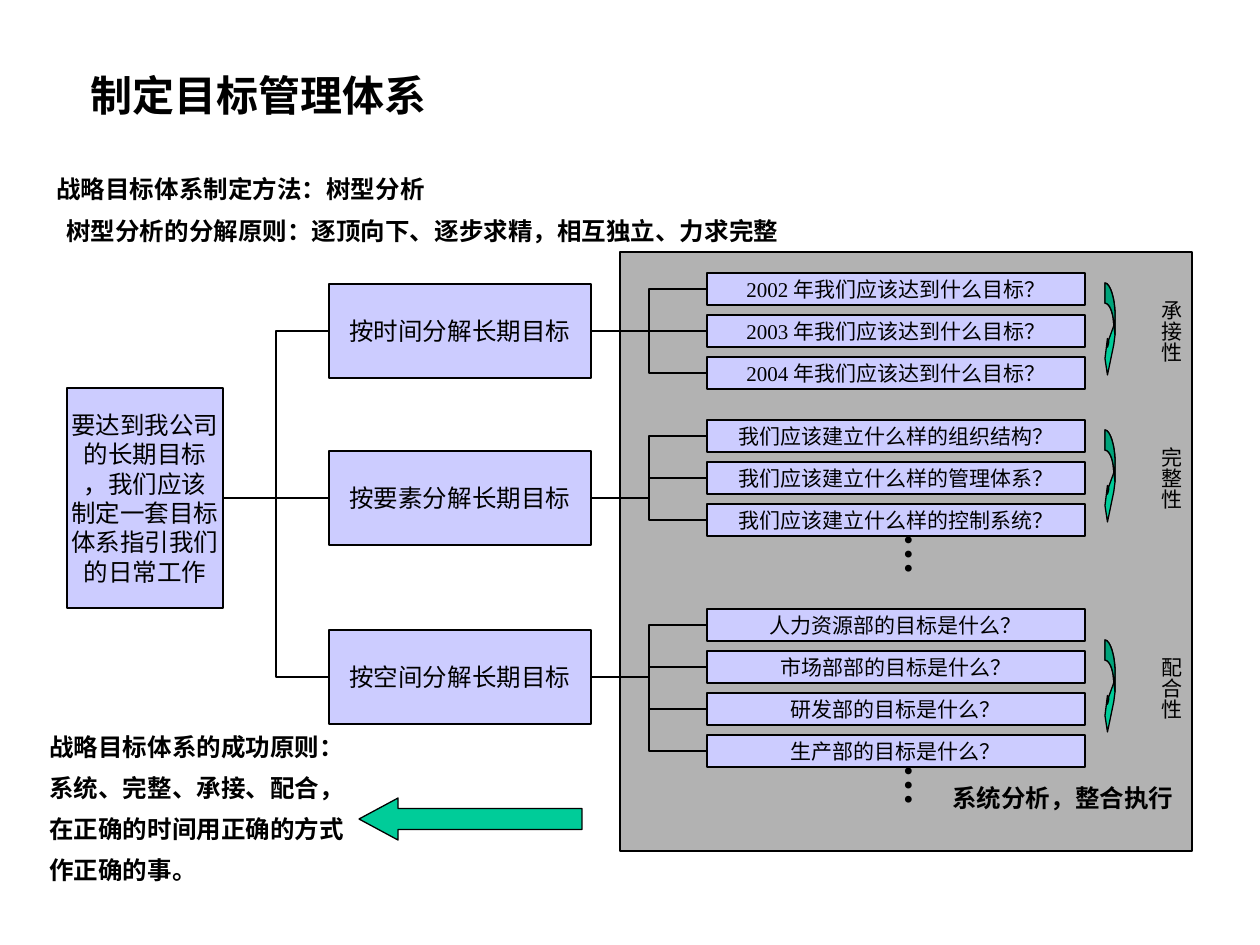
from typing import NamedTuple

from lxml.etree import SubElement
from pptx import Presentation
from pptx.dml.color import RGBColor
from pptx.enum.shapes import MSO_CONNECTOR, MSO_SHAPE
from pptx.enum.text import MSO_ANCHOR, MSO_AUTO_SIZE, PP_ALIGN
from pptx.oxml.ns import qn
from pptx.util import Pt

EMU_PER_PX = 914400 / 126
FONT = "Times New Roman"
COLORS = {
    "ink": "000000",
    "panel": "B2B2B2",
    "node": "CCCCFF",
    "arrow": "00CC99",
}
LEFT_SITE, RIGHT_SITE = 1, 3
ROW_PITCH = 42
# Curved arrow outlines, in hundredths of an inch
ARROW_WIDTH, ARROW_HEIGHT = 8, 75
ARROW_BODY = [
    [(0, 0)], [(4, 0), (8, 12), (8, 26)], [(8, 41)],
    [(8, 44), (7, 46), (7, 49)], [(2, 73)], [(0, 60)], [(2, 44)], [(2, 51)],
    [(3, 49), (3, 47), (3, 45)], [(7, 34)], [(7, 25), (4, 16), (0, 16)],
]
ARROW_SHADE = [
    [(0, 0)], [(4, 0), (8, 12), (8, 26)], [(8, 41)], [(7, 34)],
    [(7, 25), (4, 16), (0, 16)],
]


class Frame(NamedTuple):
    left: int
    top: int
    width: int
    height: int


class Branch(NamedTuple):
    title: str
    top: int
    first_row: int
    questions: list[str]
    quality: str


class Label(NamedTuple):
    frame: Frame
    lines: list[str]
    size: int = 14
    bold: bool = True
    vertical: bool = False
    wrap: bool = False
    spacing: float = 1.0


ROOT_LINES = ["要达到我公司", "的长期目标", "，我们应该", "制定一套目标", "体系指引我们", "的日常工作"]
BRANCHES = [
    Branch("按时间分解长期目标", 284, 273,
           [f"{year} 年我们应该达到什么目标？" for year in (2002, 2003, 2004)], "承接性"),
    Branch("按要素分解长期目标", 451, 420,
           [f"我们应该建立什么样的{topic}？" for topic in ("组织结构", "管理体系", "控制系统")],
           "完整性"),
    Branch("按空间分解长期目标", 630, 609,
           [f"{team}的目标是什么？" for team in ("人力资源部", "市场部部", "研发部", "生产部")],
           "配合性"),
]
LABELS = [
    Label(Frame(78, 63, 366, 63), ["制定目标管理体系"], size=24),
    Label(Frame(44, 168, 399, 43), ["战略目标体系制定方法：树型分析"]),
    Label(Frame(54, 210, 743, 43),
          ["树型分析的分解原则：逐顶向下、逐步求精，相互独立、力求完整"]),
    Label(Frame(940, 777, 249, 43), ["系统分析，整合执行"]),
    Label(Frame(37, 714, 322, 219),
          ["战略目标体系的成功原则：", "系统、完整、承接、配合，",
           "在正确的时间用正确的方式", "作正确的事。"], spacing=1.4),
    Label(Frame(878, 521, 76, 53), ["…"], size=24, vertical=True, wrap=True),
    Label(Frame(878, 752, 76, 53), ["…"], size=24, vertical=True, wrap=True),
]


def px(value: float) -> int:
    return round(value * EMU_PER_PX)


def emu(frame: Frame) -> list[int]:
    return [px(value) for value in frame]


def color(name: str) -> RGBColor:
    return RGBColor.from_string(COLORS[name])


def style(shape, fill: str) -> None:
    shape.shadow.inherit = False
    shape.fill.solid()
    shape.fill.fore_color.rgb = color(fill)
    shape.line.color.rgb = color("ink")
    shape.line.width = Pt(0.75)


def write(text_frame, lines: list[str], size: int, bold: bool = False,
          align: PP_ALIGN = PP_ALIGN.LEFT, spacing: float = 1.0) -> None:
    for index, line in enumerate(lines):
        para = text_frame.add_paragraph() if index else text_frame.paragraphs[0]
        para.alignment = align
        para.line_spacing = spacing
        span = para.add_run()
        span.text = line
        span.font.name = FONT
        span.font.size = Pt(size)
        span.font.bold = bold
        span.font.color.rgb = color("ink")


def add_box(page, frame: Frame, fill: str, lines: list[str], size: int = 14):
    box = page.shapes.add_shape(MSO_SHAPE.RECTANGLE, *emu(frame))
    style(box, fill)
    if lines:
        box.text_frame.word_wrap = False
        box.text_frame.vertical_anchor = MSO_ANCHOR.MIDDLE
        write(box.text_frame, lines, size, align=PP_ALIGN.CENTER)
    return box


def add_label(page, label: Label) -> None:
    text_frame = page.shapes.add_textbox(*emu(label.frame)).text_frame
    text_frame.word_wrap = label.wrap
    text_frame.auto_size = MSO_AUTO_SIZE.SHAPE_TO_FIT_TEXT
    if label.vertical:
        text_frame._txBody.bodyPr.set("vert", "eaVert")
        text_frame.margin_left = text_frame.margin_right = Pt(3.6)
        text_frame.margin_top = text_frame.margin_bottom = Pt(7.2)
    write(text_frame, label.lines, label.size, label.bold, spacing=label.spacing)


def link(page, child, parent) -> None:
    level = child.top + child.height // 2 == parent.top + parent.height // 2
    kind = MSO_CONNECTOR.STRAIGHT if level else MSO_CONNECTOR.ELBOW
    line = page.shapes.add_connector(kind, 0, 0, 0, 0)
    line.begin_connect(child, LEFT_SITE)
    line.end_connect(parent, RIGHT_SITE)
    line.line.color.rgb = color("ink")
    line.line.width = Pt(0.75)
    SubElement(line._element.spPr, qn("a:effectLst"))


def add_curved_arrow(page, left: int, top: int) -> None:
    """Draw a curved arrow with a darker upper face."""
    builder = page.shapes.build_freeform(0, 0, scale=9144)
    builder.add_line_segments([(ARROW_WIDTH, 0), (ARROW_WIDTH, ARROW_HEIGHT), (0, ARROW_HEIGHT)])
    arrow = builder.convert_to_shape(px(left), px(top))
    style(arrow, "arrow")
    paths = arrow._element.spPr.find(qn("a:custGeom")).find(qn("a:pathLst"))
    paths.clear()
    for outline, shade in ((ARROW_BODY, "norm"), (ARROW_SHADE, "darkenLess")):
        path = SubElement(paths, qn("a:path"), w=str(ARROW_WIDTH), h=str(ARROW_HEIGHT), fill=shade)
        for index, points in enumerate(outline):
            tag = "a:cubicBezTo" if len(points) == 3 else "a:lnTo"
            step = SubElement(path, qn(tag if index else "a:moveTo"))
            for x, y in points:
                SubElement(step, qn("a:pt"), x=str(x), y=str(y))
        SubElement(path, qn("a:close"))


def add_branch(page, branch: Branch, root) -> None:
    parent = add_box(page, Frame(329, branch.top, 262, 94), "node", [branch.title])
    link(page, parent, root)
    for index, question in enumerate(branch.questions):
        row = Frame(707, branch.first_row + index * ROW_PITCH, 378, 32)
        link(page, add_box(page, row, "node", [question], size=12), parent)
    arrow_top = branch.first_row + (10 if branch.first_row < 600 else 31)
    add_curved_arrow(page, 1105, arrow_top)
    add_label(page, Label(Frame(1140, arrow_top + 4, 50, 76), [branch.quality],
                          size=12, bold=False, vertical=True))


def main() -> None:
    deck = Presentation()
    deck.slide_width, deck.slide_height = px(1260), px(945)
    page = deck.slides.add_slide(deck.slide_layouts[6])
    add_box(page, Frame(620, 252, 572, 599), "panel", [])
    root = add_box(page, Frame(67, 388, 156, 220), "node", ROOT_LINES)
    for branch in BRANCHES:
        add_branch(page, branch, root)
    for label in LABELS:
        add_label(page, label)
    arrow = page.shapes.add_shape(MSO_SHAPE.LEFT_ARROW, *emu(Frame(359, 798, 223, 42)))
    arrow.adjustments[0], arrow.adjustments[1] = 0.5, 0.93
    style(arrow, "arrow")
    deck.save("out.pptx")


if __name__ == "__main__":
    main()
